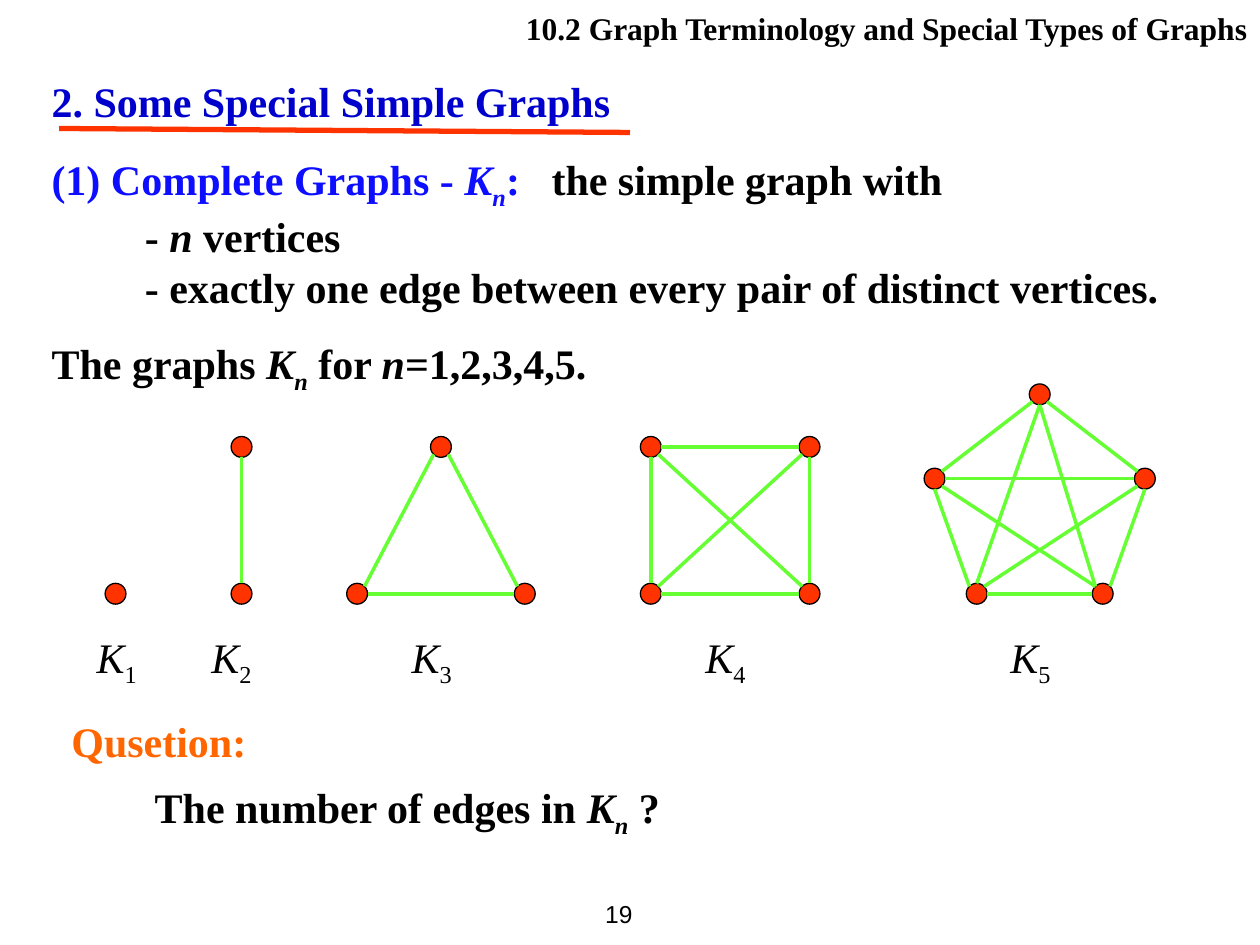
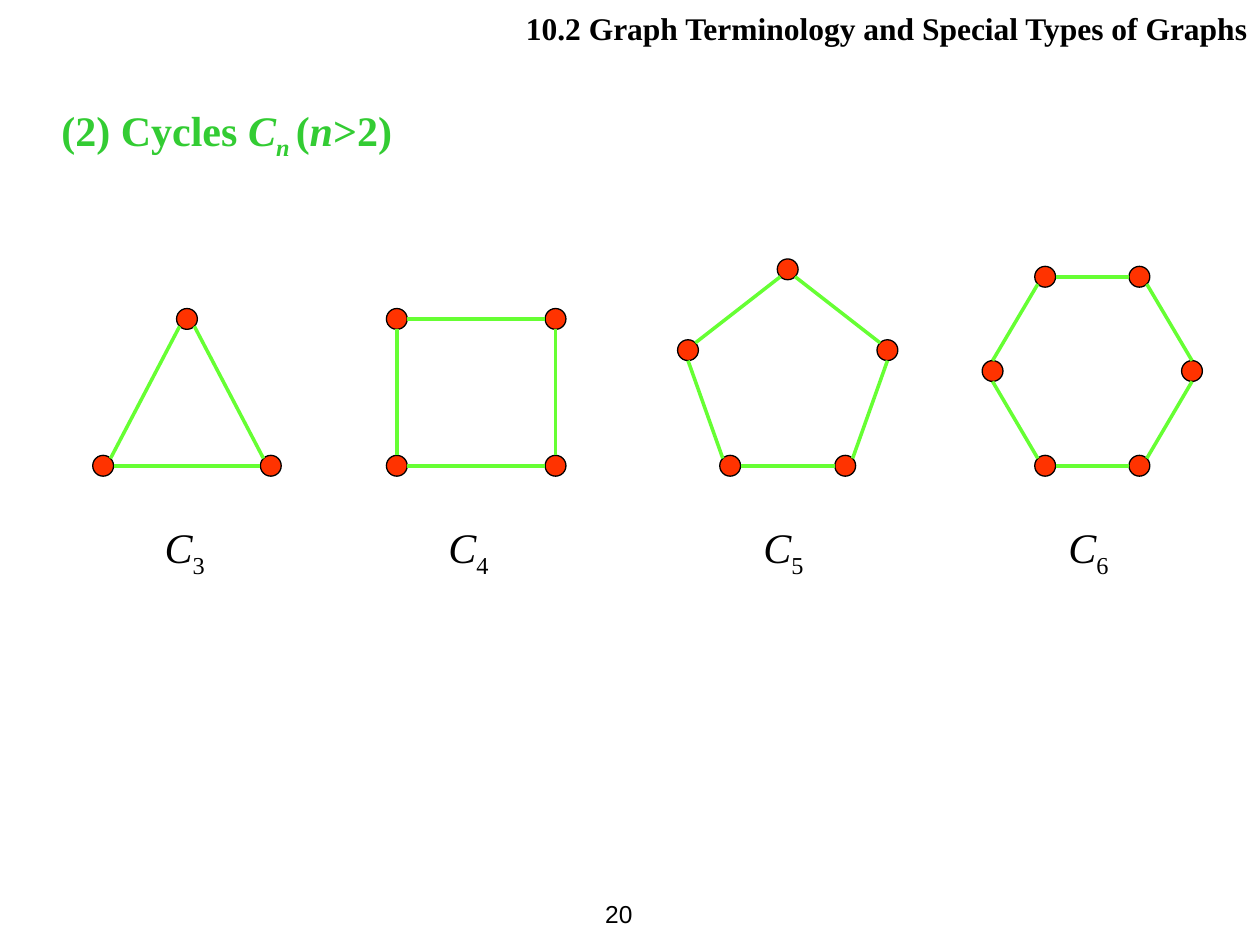
"""Build two slides on complete graphs and cycles."""
from itertools import combinations
from math import atan2, cos, degrees, radians, sin

from lxml.etree import SubElement
from pptx import Presentation
from pptx.dml.color import RGBColor
from pptx.enum.shapes import MSO_CONNECTOR, MSO_SHAPE
from pptx.enum.text import MSO_ANCHOR, PP_ALIGN
from pptx.oxml.ns import qn
from pptx.util import Cm, Pt

HUES = {
    "black": "000000", "navy": "0000CC", "blue": "0D0DFF", "red": "FF3300",
    "lime": "66FF33", "green": "33CC33", "orange": "FF6600",
}
DOT = 0.42
PAIR = [(0, 0), (0, -2.96)]
THREE = [(-1.69, 0), (1.69, 0), (0, -2.96)]
FOUR = [(-1.6, 0), (1.6, 0), (-1.6, -2.96), (1.6, -2.96)]
FIVE = [(-1.27, 0), (1.27, 0), (-2.12, -2.32), (2.12, -2.32), (0, -4.02)]
SLIM = [(-1.16, 0), (1.16, 0), (-2.01, -2.33), (2.01, -2.33), (0, -3.96)]
SIX = [(-0.95, 0), (0.95, 0), (-2.01, -1.91), (2.01, -1.91),
       (-0.95, -3.81), (0.95, -3.81)]
TIPS = {
    5: {(0, 2): -135, (1, 3): -45, (1, 4): -135},
    6: {(2, 0): 90, (2, 4): -90, (3, 1): 90, (3, 5): -90},
}


def mesh(count):
    return list(combinations(range(count), 2))


def ring(count):
    sides = [(i, i + 2) for i in range(count - 2)]
    return [(0, 1), *sides, (count - 2, count - 1)]


def hue(name):
    return RGBColor.from_string(HUES[name])


class Deck:
    def __init__(self):
        self.show = Presentation()
        self.show.slide_width, self.show.slide_height = Cm(25.4), Cm(19.05)
        self.slide = None

    def page(self, number):
        self.slide = self.show.slides.add_slide(self.show.slide_layouts[6])
        box = self.text((11.3, 17.78, 1.7, 1.27), dict(
            runs=[(number,)], face="Arial", size=14, bold=False,
            align=PP_ALIGN.RIGHT))
        box.text_frame.vertical_anchor = MSO_ANCHOR.MIDDLE
        self.text((10.11, 0.05, 15.29, 1.78), dict(
            runs=[("10.2 Graph Terminology and Special Types of Graphs",)],
            size=18, align=PP_ALIGN.RIGHT))

    def text(self, place, *paras):
        box = self.slide.shapes.add_textbox(*map(Cm, place))
        frame = box.text_frame
        frame.word_wrap = True
        for i, para in enumerate(paras):
            line = frame.add_paragraph() if i else frame.paragraphs[0]
            self.fill(line, **para)
        return box

    def fill(self, line, runs, color="black", face="Times New Roman", size=24,
             bold=True, align=PP_ALIGN.LEFT, gap=0, pad=0, tab=None):
        props = line._p.get_or_add_pPr()
        props.set("marL", str(Cm(pad)))
        line.alignment, line.space_before = align, Pt(gap)
        if tab:
            stops = SubElement(props, qn("a:tabLst"))
            SubElement(stops, qn("a:tab"), pos=str(Cm(tab)), algn="l")
        font = line.font
        font.name, font.size, font.bold = face, Pt(size), bold
        font.color.rgb = hue(color)
        for words, style, tint in ((*run, "", None)[:3] if len(run) < 3
                                   else run for run in runs):
            run = line.add_run()
            run.text = words
            if "i" in style:
                run.font.italic = True
            if "s" in style:
                run._r.get_or_add_rPr().set("baseline", "-25000")
            if tint:
                run.font.color.rgb = hue(tint)

    def line(self, shapes, start, end, color, width):
        line = shapes.add_connector(
            MSO_CONNECTOR.STRAIGHT, *map(Cm, (*start, *end)))
        line.line.color.rgb = hue(color)
        line.line.width = Pt(width)
        SubElement(line._element.spPr, qn("a:effectLst"))

    def dot(self, shapes, x, y):
        dot = shapes.add_shape(MSO_SHAPE.FLOWCHART_CONNECTOR, Cm(x - DOT / 2),
                               Cm(y - DOT / 2), Cm(DOT), Cm(DOT))
        dot.shadow.inherit = False
        dot.fill.solid()
        dot.fill.fore_color.rgb = hue("red")
        dot.line.color.rgb = hue("black")
        dot.line.width = Pt(0.75)

    def graph(self, mid, base, form, edges, tips):
        shapes = self.slide.shapes
        if edges:
            shapes = shapes.add_group_shape().shapes
        dots = [(mid + x, base + y) for x, y in form]
        for x, y in dots:
            self.dot(shapes, x, y)

        def rim(near, far):
            (x, y), (u, v) = dots[near], dots[far]
            snap = 45 * round(degrees(atan2(v - y, u - x)) / 45)
            turn = radians(tips.get((near, far), snap))
            return x + DOT / 2 * cos(turn), y + DOT / 2 * sin(turn)

        for a, b in edges:
            self.line(shapes, rim(a, b), rim(b, a), "lime", 2)

    def row(self, letter, base, top, link, items):
        for mid, left, form in items:
            count = len(form)
            self.graph(mid, base, form, link(count), TIPS.get(count, {}))
            self.text((left, top, 1.9, 1.42), dict(
                runs=[(letter, "i"), (str(count), "s")], bold=False))


def main():
    deck = Deck()
    deck.page("19")
    deck.text((0.79, 1.4, 12.8, 1.27), dict(
        runs=[("2. Some Special Simple Graphs",)], color="navy"))
    deck.line(deck.slide.shapes, (1.19, 2.59), (12.7, 2.67), "red", 3)
    deck.text(
        (0.79, 2.97, 23.39, 5.13),
        dict(runs=[("(1) Complete Graphs - ",), ("K", "i"), ("n", "is"),
                   (":\t",), ("the simple graph with", "", "black")],
             color="blue", tab=10.08),
        dict(runs=[("- ",), ("n", "i"), (" vertices",)], pad=1.88),
        dict(runs=[("- exactly one edge between every pair of distinct "
                    "vertices.",)], pad=1.88),
        dict(runs=[("The graphs",), (" K", "i"), ("n", "is"), (" for ",),
                   ("n", "i"), ("=1,2,3,4,5.",)], gap=15))
    deck.row("K", 11.97, 12.6, mesh, [
        (2.33, 1.7, [(0, 0)]), (4.87, 4.01, PAIR), (8.89, 8.05, THREE),
        (14.72, 13.97, FOUR), (20.96, 20.12, FIVE)])
    deck.text(
        (1.19, 14.3, 22.4, 2.74),
        dict(runs=[("Qusetion:",)], color="orange"),
        dict(runs=[("The number of edges in ",), ("K", "i"), ("n", "is"),
                   (" ?",)], gap=9, pad=1.68))

    deck.page("20")
    deck.text((0.99, 1.98, 23.39, 1.27), dict(
        runs=[("(2) Cycles ",), ("C", "i"), ("n ", "is"), ("(",), ("n", "i"),
              (">2)",)], color="green"))
    deck.row("C", 9.39, 10.39, ring, [
        (3.77, 3.07, THREE), (9.6, 8.79, FOUR), (15.88, 15.14, SLIM),
        (22.02, 21.29, SIX)])
    deck.show.save("out.pptx")


if __name__ == "__main__":
    main()
